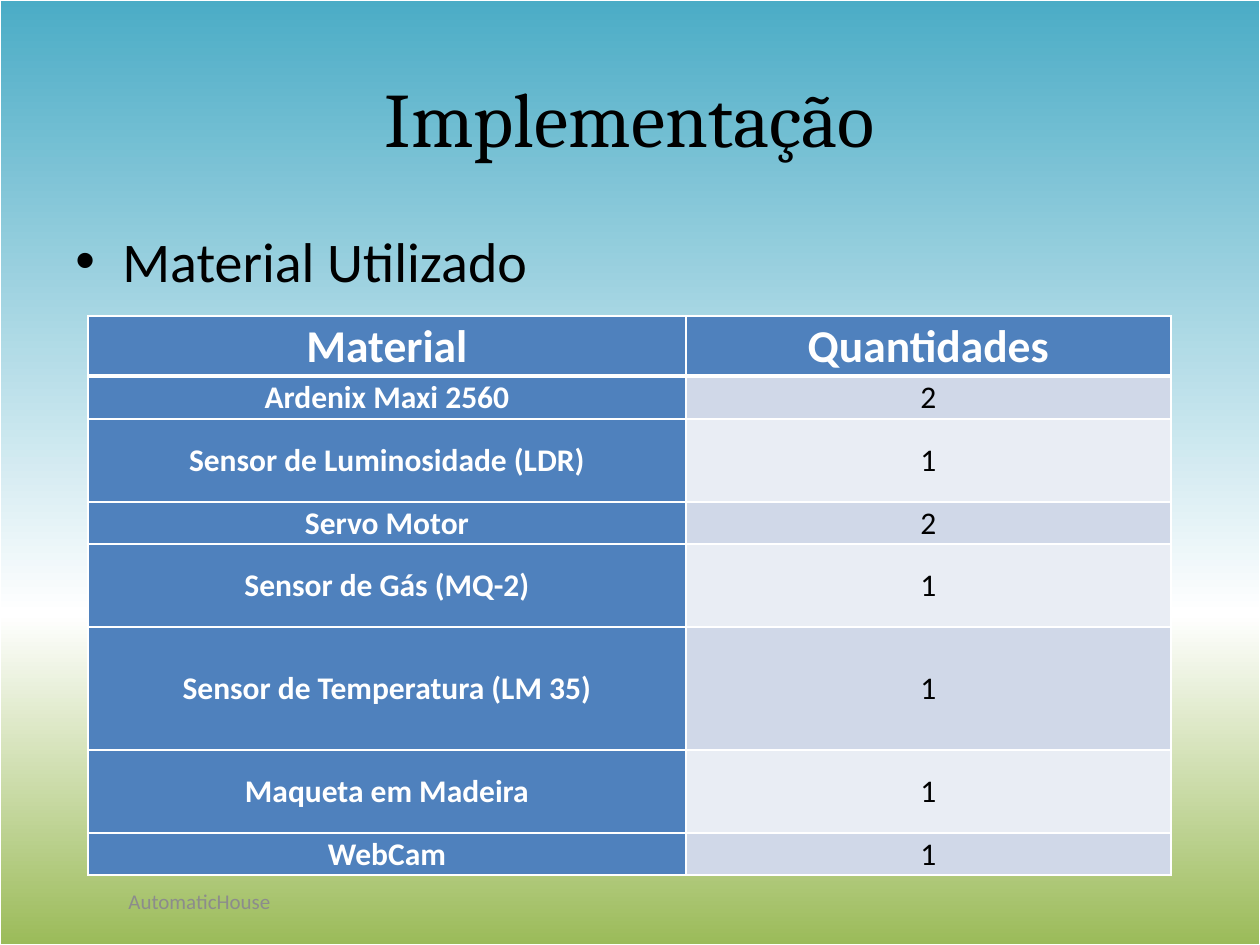
from copy import deepcopy
from lxml.etree import SubElement
from pptx import Presentation
from pptx.dml.color import RGBColor
from pptx.enum.shapes import MSO_SHAPE as Preset
from pptx.enum.text import MSO_ANCHOR as Anchor, PP_ALIGN as Align
from pptx.oxml.ns import qn
from pptx.util import Emu, Pt

BLACK = RGBColor(0x00, 0x00, 0x00)
WHITE = RGBColor(0xFF, 0xFF, 0xFF)
GRAY = RGBColor(0x8C, 0x8C, 0x8C)
GREEN = RGBColor(0x9B, 0xBB, 0x59)
TEAL = RGBColor(0x4B, 0xAC, 0xC6)
BLUE = RGBColor(0x4F, 0x81, 0xBD)
BAND_DARK = RGBColor(0xD0, 0xD8, 0xE8)
BAND_LIGHT = RGBColor(0xE9, 0xED, 0xF4)

SKY = [(0, GREEN), (0.35, WHITE), (1, TEAL)]
COLUMN_WIDTHS = [598, 485]
ROW_HEIGHTS = [60, 43, 83, 42, 83, 123, 83, 42]
MATERIALS = [
    ("Material", "Quantidades"),
    ("Ardenix Maxi 2560", "2"),
    ("Sensor de Luminosidade (LDR)", "1"),
    ("Servo Motor", "2"),
    ("Sensor de Gás (MQ-2)", "1"),
    ("Sensor de Temperatura (LM 35)", "1"),
    ("Maqueta em Madeira", "1"),
    ("WebCam", "1"),
]


def px(length):
    return Emu(round(length * 914400 / 126))


class SlideBuilder:
    body_font = "Calibri"
    title_font = "Cambria"

    def __init__(self, page):
        self.page = page

    def place(self, shape, left, top, width, height):
        shape.left, shape.top = px(left), px(top)
        shape.width, shape.height = px(width), px(height)

    def format(self, para, size, color, bold=False, align=Align.CENTER, font=None):
        para.alignment = align
        for span in para.runs:
            span.font.name = font or self.body_font
            span.font.size = Pt(size)
            span.font.bold = bold
            span.font.color.rgb = color

    def background(self, stops):
        fill = self.page.background.fill
        fill.gradient()
        fill.gradient_angle = 90
        stop_list = self.page.element.find(".//" + qn("a:gsLst"))
        stop_list.append(deepcopy(stop_list[0]))
        for stop, (position, color) in zip(fill.gradient_stops, stops):
            stop.position = position
            stop.color.rgb = color

    def frame(self, *area):
        border = self.page.shapes.add_shape(Preset.RECTANGLE, *map(px, area))
        border.shadow.inherit = False
        border.fill.background()
        border.line.color.rgb = WHITE
        border.line.width = Pt(1)

    def title(self, text, *area):
        title = self.page.shapes.title
        self.place(title, *area)
        title.text_frame.text = text
        title.text_frame.vertical_anchor = Anchor.MIDDLE
        self.format(title.text_frame.paragraphs[0], 44, BLACK, font=self.title_font)

    def text(self, text, area, size, color, anchor=Anchor.TOP, align=Align.CENTER):
        box = self.page.shapes.add_textbox(*map(px, area))
        frame = box.text_frame
        frame.word_wrap = True
        frame.vertical_anchor = anchor
        frame.text = text
        para = frame.paragraphs[0]
        self.format(para, size, color, align=align)
        return para

    def bullet(self, text, *area):
        para = self.text(text, area, 32, BLACK, align=Align.LEFT)
        properties = para._p.get_or_add_pPr()
        properties.set("marL", str(px(47)))
        properties.set("indent", str(px(-47)))
        SubElement(properties, qn("a:buFont"), typeface="Arial")
        SubElement(properties, qn("a:buChar"), char="•")

    def borders(self, cell, bottom):
        properties = cell._tc.get_or_add_tcPr()
        for side, points in (("L", 1), ("R", 1), ("T", 1), ("B", bottom)):
            line = SubElement(properties, qn(f"a:ln{side}"), w=str(Pt(points)))
            fill = SubElement(line, qn("a:solidFill"))
            SubElement(fill, qn("a:srgbClr"), val=str(WHITE))

    def cell(self, cell, text, size, color, fill, bold, bottom):
        cell.text_frame.text = text
        cell.vertical_anchor = Anchor.MIDDLE
        cell.margin_left = cell.margin_right = cell.margin_top = px(1)
        cell.margin_bottom = 0
        self.format(cell.text_frame.paragraphs[0], size, color, bold)
        self.borders(cell, bottom)
        cell.fill.solid()
        cell.fill.fore_color.rgb = fill

    def table(self, rows, left, top, widths, heights):
        area = map(px, (left, top, sum(widths), sum(heights)))
        table = self.page.shapes.add_table(len(rows), len(widths), *area).table
        table.first_row = table.horz_banding = False
        for column, width in zip(table.columns, widths):
            column.width = px(width)
        for row, height in zip(table.rows, heights):
            row.height = px(height)
        for i, values in enumerate(rows):
            for j, value in enumerate(values):
                heading = i == 0 or j == 0
                band = BAND_DARK if i % 2 else BAND_LIGHT
                self.cell(
                    table.cell(i, j),
                    value,
                    size=18 if i else 26,
                    color=WHITE if heading else BLACK,
                    fill=BLUE if heading else band,
                    bold=heading,
                    bottom=1 if i else 3,
                )


def main():
    deck = Presentation()
    deck.slide_width, deck.slide_height = px(1260), px(945)
    builder = SlideBuilder(deck.slides.add_slide(deck.slide_layouts[5]))
    builder.background(SKY)
    builder.frame(0, 0, 1260, 945)
    builder.title("Implementação", 63, 38, 1134, 158)
    builder.bullet("Material Utilizado", 63, 220, 1134, 624)
    builder.text("AutomaticHouse", (0, 876, 399, 50), 12, GRAY, Anchor.MIDDLE)
    builder.table(MATERIALS, 88, 316, COLUMN_WIDTHS, ROW_HEIGHTS)
    deck.save("out.pptx")


if __name__ == "__main__":
    main()
